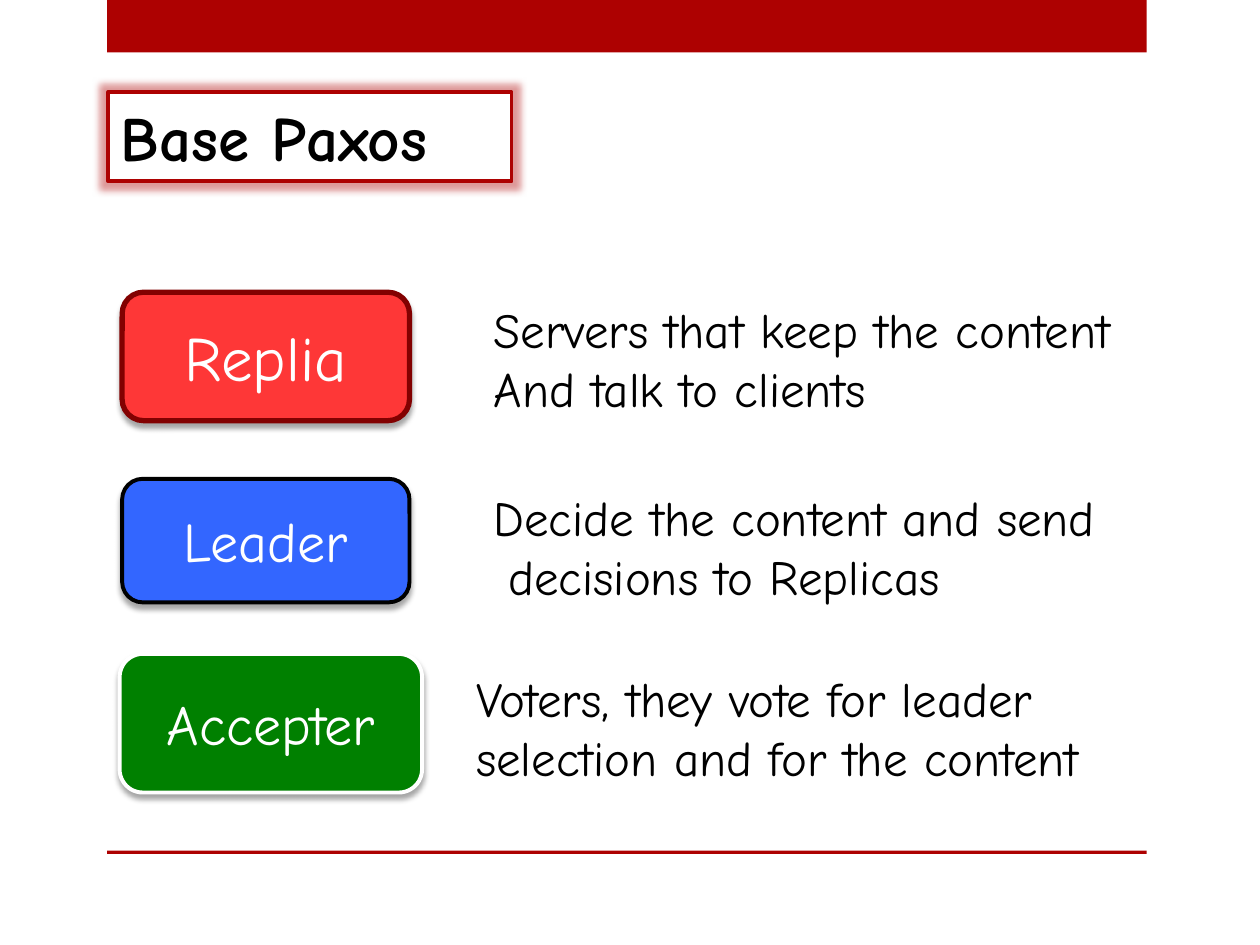
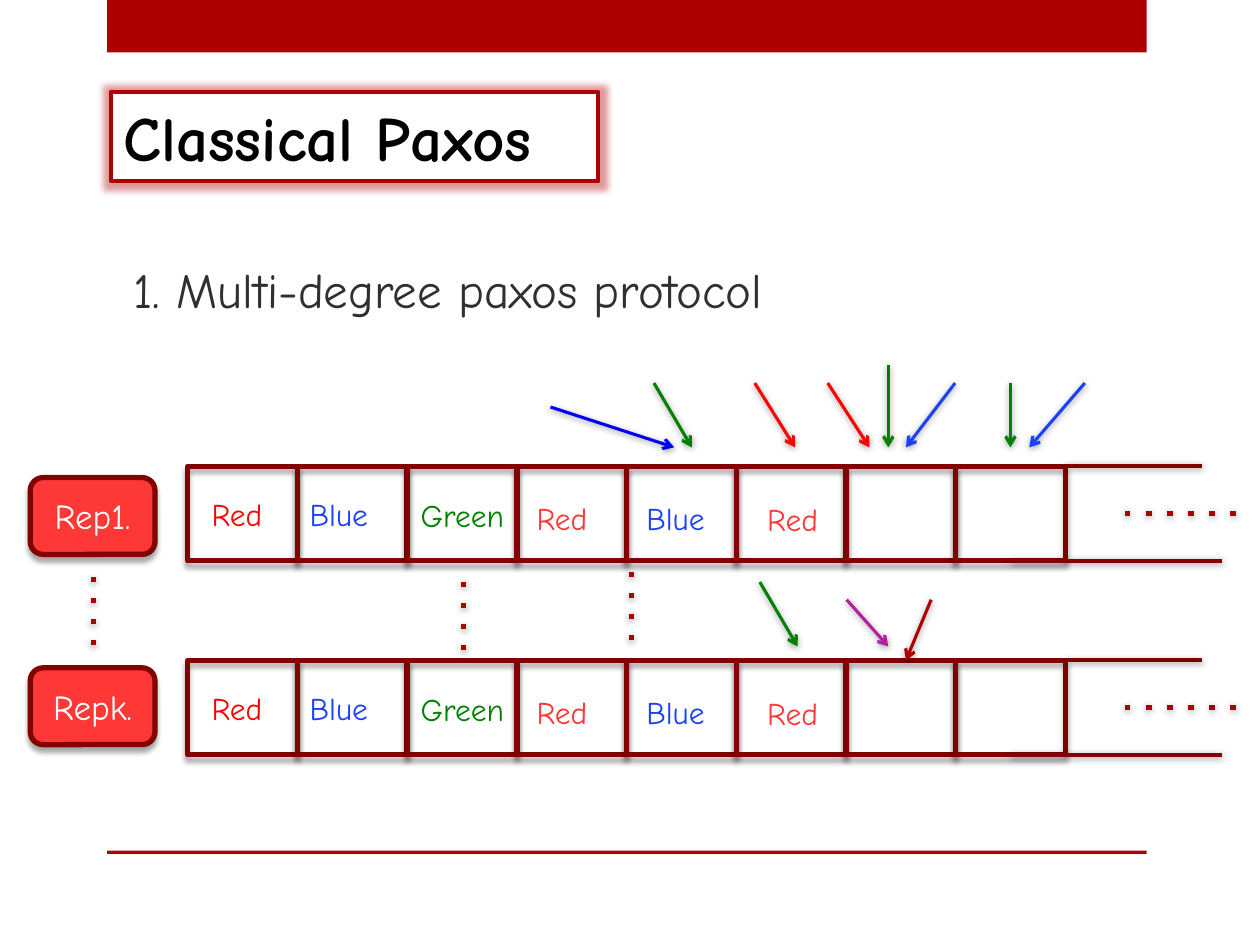
"""Build two slides about the Paxos roles and the replicated log."""
import lxml.etree
import pptx
import pptx.dml.color
import pptx.enum.shapes
import pptx.enum.text
import pptx.oxml.ns
import pptx.util

Pt = pptx.util.Pt
RGBColor = pptx.dml.color.RGBColor
SHAPE = pptx.enum.shapes.MSO_SHAPE
ANCHOR = pptx.enum.text.MSO_ANCHOR
ALIGN = pptx.enum.text.PP_ALIGN
qn = pptx.oxml.ns.qn

FONT = "Comic Neue"
BLACK = RGBColor(0x00, 0x00, 0x00)
WHITE = RGBColor(0xFF, 0xFF, 0xFF)
GREY = RGBColor(0x30, 0x30, 0x30)
CRIMSON = RGBColor(0xAD, 0x01, 0x01)
MAROON = RGBColor(0x82, 0x01, 0x01)
CORAL = RGBColor(0xFE, 0x37, 0x37)
RED = RGBColor(0xFF, 0x00, 0x00)
GREEN = RGBColor(0x00, 0x80, 0x00)
SKY = RGBColor(0x33, 0x66, 0xFF)
BLUE = RGBColor(0x1C, 0x41, 0xFA)
PURE_BLUE = RGBColor(0x00, 0x00, 0xFF)
PURPLE = RGBColor(0xB4, 0x1F, 0xA1)

CELL_LEFT, CELL_PITCH, CELL_HEIGHT, CELL_COUNT = 107.3, 62.7, 54, 8
ROW_TOPS = (266.4, 377.3)

ROLES = [
    ("Replia", (69.8, 167, 164.2, 73.4), 36, CORAL, MAROON, 3,
     (275, 167.8, 418, 75), ["Servers that keep the content", "And talk to clients"], 0),
    ("Leader", (69.8, 273.6, 164.2, 70.6), 32, SKY, BLACK, 2.25,
     (275, 275, 392, 75), ["Decide the content and send", "decisions to Replicas"], 8.5),
    ("Accepter", (68.4, 373.7, 172.8, 79.2), 32, GREEN, WHITE, 2.25,
     (265, 378.7, 401, 75), ["Voters, they vote for leader", "selection and for the content"], 0),
]
ENTRIES = [
    ("Red", RED, 113.8, 13), ("Blue", BLUE, 169.9, 13), ("Green", GREEN, 233.3, 13.7),
    ("Red", CORAL, 299.5, 15.1), ("Blue", BLUE, 362.2, 15.1), ("Red", CORAL, 431.3, 15.8),
]
ARROWS = [
    (PURE_BLUE, 314.6, 232.6, 385.2, 255.6), (GREEN, 373.7, 218.9, 395.3, 255.6),
    (RED, 431.3, 218.9, 454.3, 255.6), (RED, 473, 218.9, 496.8, 255.6),
    (GREEN, 507.6, 208.8, 507.6, 255.6), (BLUE, 545.8, 218.9, 517.7, 255.6),
    (GREEN, 577.4, 218.9, 577.4, 255.6), (BLUE, 619.9, 218.9, 588.2, 255.6),
    (GREEN, 434.2, 332.6, 455.8, 369.4), (PURPLE, 483.8, 342.7, 507.6, 369.4),
    (CRIMSON, 532.1, 342.7, 517.7, 377.3),
]
VERTICAL_DOTS = [(53.3, 329.8), (265, 332.6), (360.7, 326.9)]


def write_text(frame, lines, size=18, color=BLACK, bold=False, align=ALIGN.LEFT,
               anchor=ANCHOR.TOP, last_indent=0):
    """Fill a text frame with one paragraph for each line."""
    frame.word_wrap = True
    frame.auto_size = pptx.enum.text.MSO_AUTO_SIZE.NONE
    frame.vertical_anchor = anchor
    for index, line in enumerate(lines):
        paragraph = frame.paragraphs[0] if index == 0 else frame.add_paragraph()
        paragraph.alignment = align
        paragraph.space_before = Pt(0)
        run = paragraph.add_run()
        run.text = line
        run.font.name = FONT
        run.font.size = Pt(size)
        run.font.bold = bold
        run.font.color.rgb = color
    if last_indent:
        paragraph._p.get_or_add_pPr().set("marL", str(Pt(last_indent)))


def add_effect(shape, kind, color, alpha, **attributes):
    """Give a shape that is already filled and outlined a glow or shadow."""
    effects = lxml.etree.SubElement(shape.element.spPr, qn("a:effectLst"))
    effect = lxml.etree.SubElement(effects, qn(f"a:{kind}"))
    for name, value in attributes.items():
        effect.set(name, str(value))
    tint = lxml.etree.SubElement(effect, qn("a:srgbClr"), val=str(color))
    lxml.etree.SubElement(tint, qn("a:alpha"), val=str(alpha * 1000))


def add_shadow(shape, alpha, blur, distance):
    """Drop a soft black shadow straight down."""
    add_effect(shape, "outerShdw", BLACK, alpha, blurRad=Pt(blur), dist=Pt(distance),
               dir=5400000, rotWithShape=0)


def place(shape, box):
    """Set left, top, width and height in points."""
    shape.left, shape.top, shape.width, shape.height = map(Pt, box)


def paint(shape, fill, line, width):
    """Set fill and outline; a fill of None leaves the shape hollow."""
    if fill is None:
        shape.fill.background()
    else:
        shape.fill.solid()
        shape.fill.fore_color.rgb = fill
    shape.line.color.rgb = line
    shape.line.width = Pt(width)


def add_box(shapes, kind, box, fill, line, width):
    """Add a shadowed preset shape."""
    shape = shapes.add_shape(kind, *map(Pt, box))
    paint(shape, fill, line, width)
    add_shadow(shape, 35, 3, 3)
    return shape


def add_role(shapes, box, label, size, fill=CORAL, line=MAROON, width=3):
    """Add a rounded box with a centred white label."""
    shape = add_box(shapes, SHAPE.ROUNDED_RECTANGLE, box, fill, line, width)
    write_text(shape.text_frame, [label], size=size, color=WHITE,
               align=ALIGN.CENTER, anchor=ANCHOR.MIDDLE)


def add_label(shapes, box, lines, **text_format):
    """Add a text box."""
    label = shapes.add_textbox(*map(Pt, box))
    label.text_frame.margin_right = 0
    write_text(label.text_frame, lines, **text_format)


def add_line(shapes, ends, color, width, dotted=False, arrow=False):
    """Add a shadowed straight line, dotted or with an arrowhead on request."""
    connector = shapes.add_connector(pptx.enum.shapes.MSO_CONNECTOR.STRAIGHT, *map(Pt, ends))
    connector.line.color.rgb = color
    connector.line.width = Pt(width)
    outline = connector.element.spPr.find(qn("a:ln"))
    if dotted:
        lxml.etree.SubElement(outline, qn("a:prstDash"), val="dot")
    if arrow:
        lxml.etree.SubElement(outline, qn("a:tailEnd"), type="arrow")
    add_shadow(connector, 40, 4, 1)


def add_master_bands(presentation, slide):
    """Draw the top band and bottom rule, then move them to the master."""
    tree = presentation.slide_master.shapes.element
    for number, (top, height) in enumerate([(0, 30), (486, 2)]):
        band = slide.shapes.add_shape(SHAPE.RECTANGLE, Pt(61.2), Pt(top), Pt(594), Pt(height))
        band.shadow.inherit = False
        band.fill.solid()
        band.fill.fore_color.rgb = CRIMSON
        band.line.fill.background()
        band.element.xpath("./p:nvSpPr/p:cNvPr")[0].set("id", str(100 + number))
        tree.append(band.element)


def add_title(slide, text, left, width):
    """Place the glowing title box."""
    title = slide.shapes.title
    place(title, (left, 52.6, width, 51))
    paint(title, WHITE, CRIMSON, 2.25)
    add_effect(title, "glow", CRIMSON, 40, rad=Pt(8))
    write_text(title.text_frame, [text], size=36, bold=True)


def add_log_row(slide, top):
    """Add one replicated log: cells, entries and the open end."""
    shapes = slide.shapes.add_group_shape().shapes
    for column in range(CELL_COUNT):
        left = CELL_LEFT + column * CELL_PITCH
        add_box(shapes, SHAPE.RECTANGLE, (left, top, CELL_PITCH, CELL_HEIGHT), None, MAROON, 3)
    for word, color, left, offset in ENTRIES:
        add_label(shapes, (left, top + offset, 65, 29), [word], color=color)
    bottom, middle = top + CELL_HEIGHT, top + CELL_HEIGHT / 2
    add_line(shapes, (609, top, 686.9, top), MAROON, 2.25)
    add_line(shapes, (577.4, bottom, 698.4, bottom), MAROON, 2.25)
    add_line(shapes, (643, middle, 710, middle), CRIMSON, 3, dotted=True)


def build_roles(slide):
    """Build the slide on the three roles."""
    add_title(slide, "Base Paxos", 61.9, 230.4)
    for label, box, size, fill, line, width, text_box, lines, indent in ROLES:
        add_role(slide.shapes, box, label, size, fill, line, width)
        add_label(slide.shapes, text_box, lines, size=28, last_indent=indent)


def build_log(slide):
    """Build the slide on the replicated log."""
    add_title(slide, "Classical Paxos", 63.4, 278.6)
    body = slide.placeholders[1]
    place(body, (61.2, 144.7, 517.7, 74))
    body.text_frame.margin_left = Pt(15)
    write_text(body.text_frame, ["1. Multi-degree paxos protocol"], size=28, color=GREY)
    properties = body.text_frame.paragraphs[0]._p.get_or_add_pPr()
    properties.set("marL", "0")
    properties.set("indent", "0")
    lxml.etree.SubElement(properties, qn("a:buNone"))
    for top, name, name_top in zip(ROW_TOPS, ("Rep1.", "Repk."), (272.9, 381.6)):
        add_log_row(slide, top)
        add_role(slide.shapes, (17.3, name_top, 71.3, 43.9), name, 20)
    for color, *ends in ARROWS:
        add_line(slide.shapes, ends, color, 1.75, arrow=True)
    for left, top in VERTICAL_DOTS:
        add_line(slide.shapes, (left, top, left, top + 44.6), CRIMSON, 3, dotted=True)


def main():
    """Create and save the presentation."""
    presentation = pptx.Presentation()
    presentation.slide_width, presentation.slide_height = Pt(720), Pt(540)
    layouts = presentation.slide_layouts
    roles = presentation.slides.add_slide(layouts.get_by_name("Title Only"))
    add_master_bands(presentation, roles)
    build_roles(roles)
    build_log(presentation.slides.add_slide(layouts.get_by_name("Title and Content")))
    presentation.save("out.pptx")


main()
